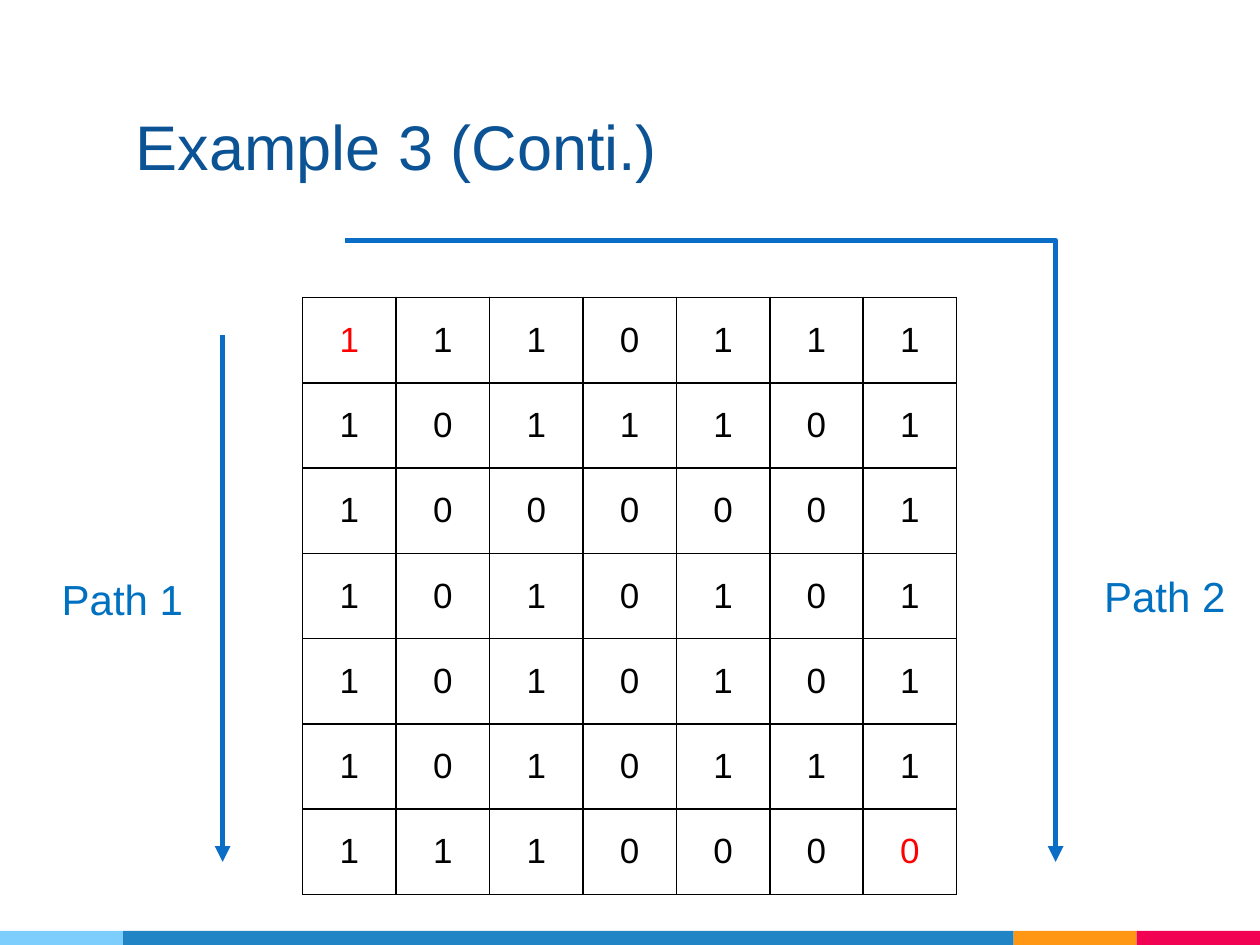
import pptx
import pptx.dml.color
import pptx.enum.shapes
import pptx.enum.text
import pptx.oxml
import pptx.oxml.ns
import pptx.util
from dataclasses import dataclass

Pt = pptx.util.Pt
RGB = pptx.dml.color.RGBColor.from_string
ALIGN = pptx.enum.text.PP_ALIGN
ANCHOR = pptx.enum.text.MSO_ANCHOR
CONNECTOR = pptx.enum.shapes.MSO_CONNECTOR
RECTANGLE = pptx.enum.shapes.MSO_SHAPE.RECTANGLE
NS = pptx.oxml.ns.nsdecls("a")


@dataclass(frozen=True)
class Theme:
    """Colours, font and type sizes of the slide."""
    font: str = "Arial"
    title: str = "0B5394"
    label: str = "0070C0"
    arrow: str = "0A6DC6"
    ink: str = "000000"
    marked: str = "FF0000"
    paper: str = "FFFFFF"
    band: tuple = ("7ECEFD", "2185C5", "FF9715", "F20253")
    title_size: int = 36
    label_size: int = 24
    cell_size: int = 20


def apply(obj, fmt):
    """Set each attribute named in a dict of format values."""
    for name, value in fmt.items():
        setattr(obj, name, value)


class Deck:
    """Holds the theme and the current slide."""

    def __init__(self, theme, width, height):
        """Start a presentation with one blank slide."""
        self.theme = theme
        self.prs = pptx.Presentation()
        apply(self.prs, {"slide_width": Pt(width), "slide_height": Pt(height)})
        self.s = self.prs.slides.add_slide(self.prs.slide_layouts[6])

    def add_text(self, tf, text, size, color, align):
        """Put one styled run into a text frame."""
        p = tf.paragraphs[0]
        p.alignment = align
        r = p.add_run()
        r.text = text
        apply(r.font, {"name": self.theme.font, "size": Pt(size)})
        r.font.color.rgb = RGB(color)

    def bar(self, x, y, w, h, color):
        """Add a plain filled rectangle."""
        sp = self.s.shapes.add_shape(RECTANGLE, Pt(x), Pt(y), Pt(w), Pt(h))
        sp.shadow.inherit = False
        sp.fill.solid()
        sp.fill.fore_color.rgb = RGB(color)
        sp.line.fill.background()

    def text(self, box, text, size, color, align=ALIGN.CENTER, **fmt):
        """Add a wrapping text box; fmt goes to its text frame."""
        tf = self.s.shapes.add_textbox(*map(Pt, box)).text_frame
        apply(tf, {"word_wrap": True, **fmt})
        self.add_text(tf, text, size, color, align)

    def arrow(self, kind, start, end):
        """Add a connector with an arrowhead; an elbow turns at its far end."""
        sp = self.s.shapes.add_connector(kind, *map(Pt, (*start, *end)))
        sp.line.width = Pt(3)
        sp.line.color.rgb = RGB(self.theme.arrow)
        props = sp._element.spPr
        props.find(pptx.oxml.ns.qn("a:ln")).append(
            pptx.oxml.parse_xml(f'<a:tailEnd {NS} type="triangle"/>'))
        props.append(pptx.oxml.parse_xml(f"<a:effectLst {NS}/>"))
        if kind == CONNECTOR.ELBOW:
            props.find(".//" + pptx.oxml.ns.qn("a:avLst")).append(
                pptx.oxml.parse_xml(
                    f'<a:gd {NS} name="adj1" fmla="val 100000"/>'))

    def border(self, cell):
        """Draw a thin line on all four sides of a cell."""
        tc_pr = cell._tc.get_or_add_tcPr()
        for i, side in enumerate("LRTB"):
            tc_pr.insert(i, pptx.oxml.parse_xml(
                f'<a:ln{side} {NS} w="{Pt(1)}"><a:solidFill>'
                f'<a:srgbClr val="{self.theme.ink}"/></a:solidFill></a:ln{side}>'))

    def grid(self, x, y, col_w, row_h, rows, marked):
        """Add a table of single digits with the marked cells in red."""
        n_rows, n_cols = len(rows), len(rows[0])
        table = self.s.shapes.add_table(
            n_rows, n_cols, Pt(x), Pt(y),
            Pt(col_w * n_cols), Pt(row_h * n_rows)).table
        apply(table, {"first_row": False, "horz_banding": False})
        for col in table.columns:
            col.width = Pt(col_w)
        for i, digits in enumerate(rows):
            table.rows[i].height = Pt(row_h)
            for j, digit in enumerate(digits):
                cell = table.cell(i, j)
                cell.vertical_anchor = ANCHOR.MIDDLE
                cell.fill.solid()
                cell.fill.fore_color.rgb = RGB(self.theme.paper)
                self.border(cell)
                color = self.theme.marked if (i, j) in marked else self.theme.ink
                self.add_text(cell.text_frame, digit, self.theme.cell_size,
                              color, ALIGN.CENTER)


def main():
    """Build the maze slide and save it."""
    t = Theme()
    deck = Deck(t, 720, 540)

    x = 0
    for w, color in zip((70.4, 508.8, 70.4, 70.4), t.band):
        deck.bar(x, 532, w, 8, color)
        x += w

    insets = dict.fromkeys(
        ("margin_left", "margin_top", "margin_right", "margin_bottom"), Pt(7.2))
    deck.text((70.4, 21.6, 579.2, 90), "Example 3 (Conti.)", t.title_size,
              t.title, ALIGN.LEFT, vertical_anchor=ANCHOR.BOTTOM, **insets)

    maze = ("1110111", "1011101", "1000001", "1010101",
            "1010101", "1010111", "1110000")
    deck.grid(173, 170, 53.4, 48.75, maze, {(0, 0), (6, 6)})

    arrow_end = 492.5
    deck.arrow(CONNECTOR.ELBOW, (197.2, 137.3), (603.2, arrow_end))
    deck.arrow(CONNECTOR.STRAIGHT, (127.2, 191.5), (127.2, arrow_end))
    for text, left, top in (("Path 1", 15.6, 324.2), ("Path 2", 611.2, 322.6)):
        deck.text((left, top, 108.8, 36), text, t.label_size, t.label)

    deck.prs.save("out.pptx")


main()
